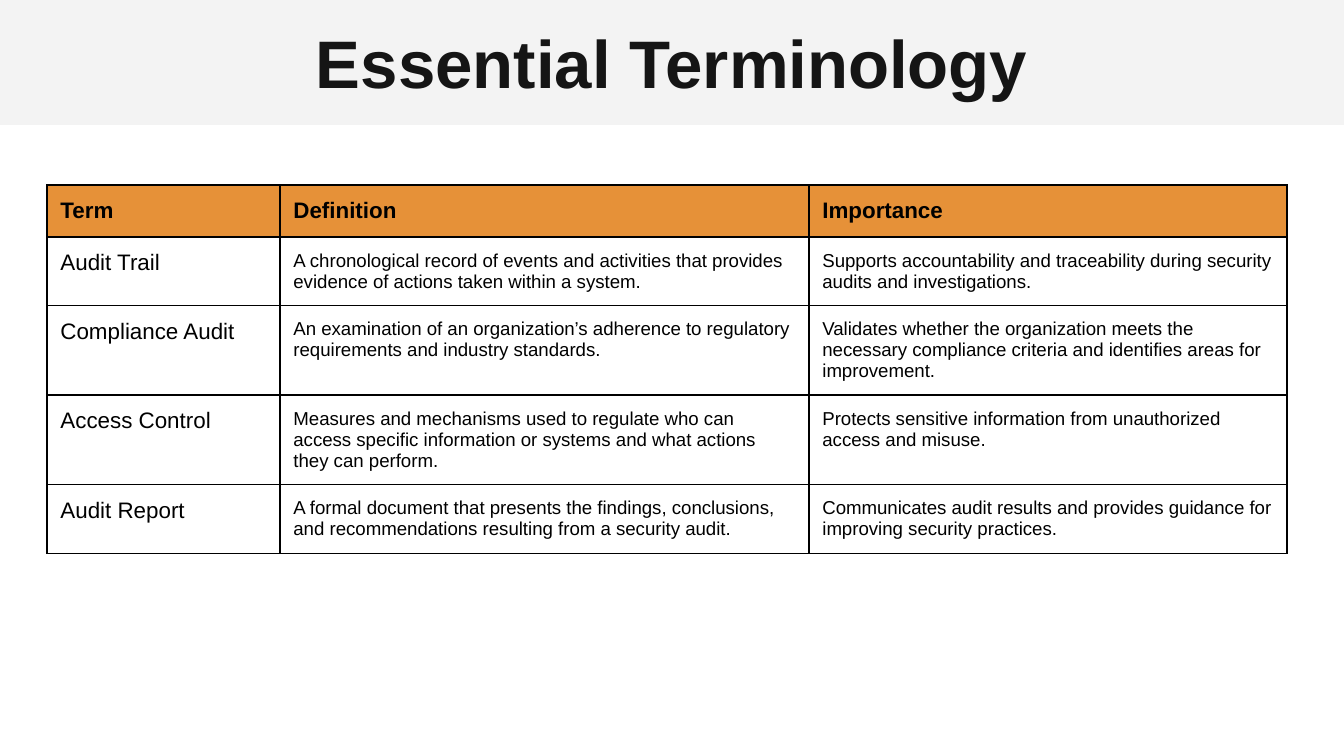
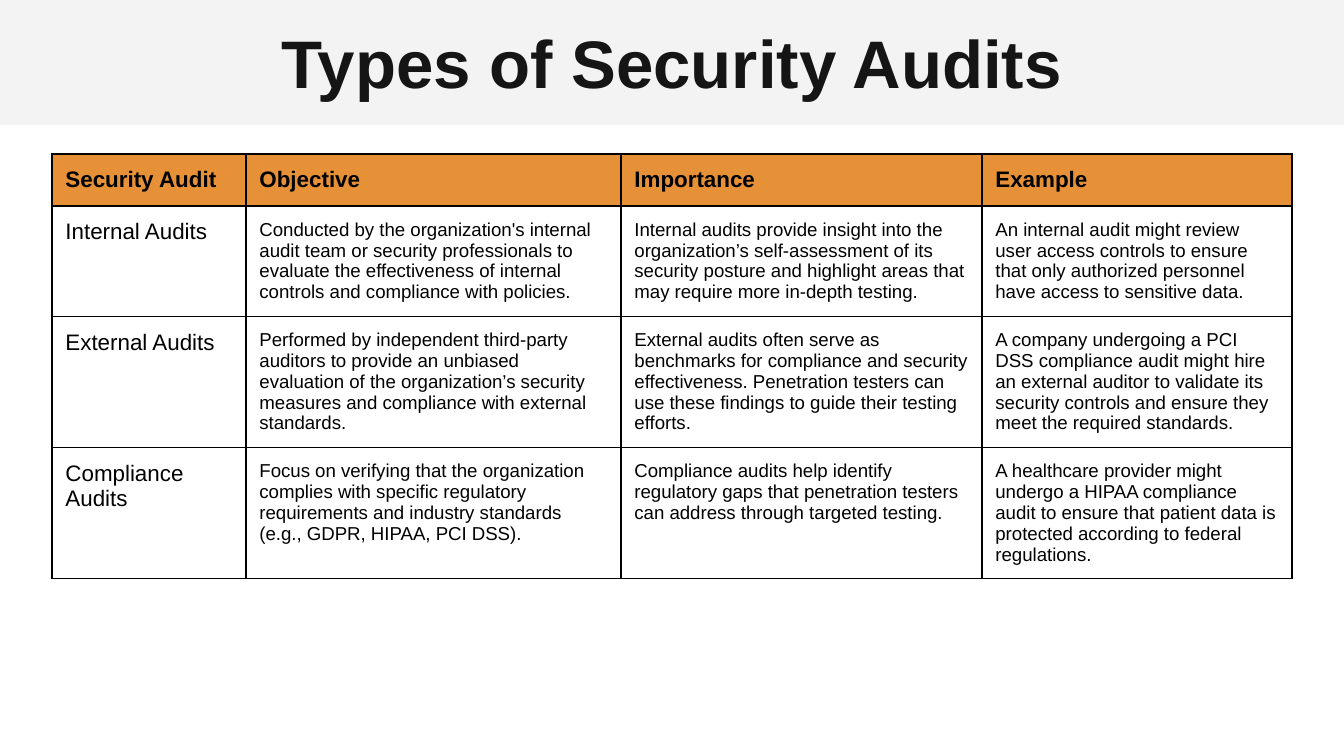
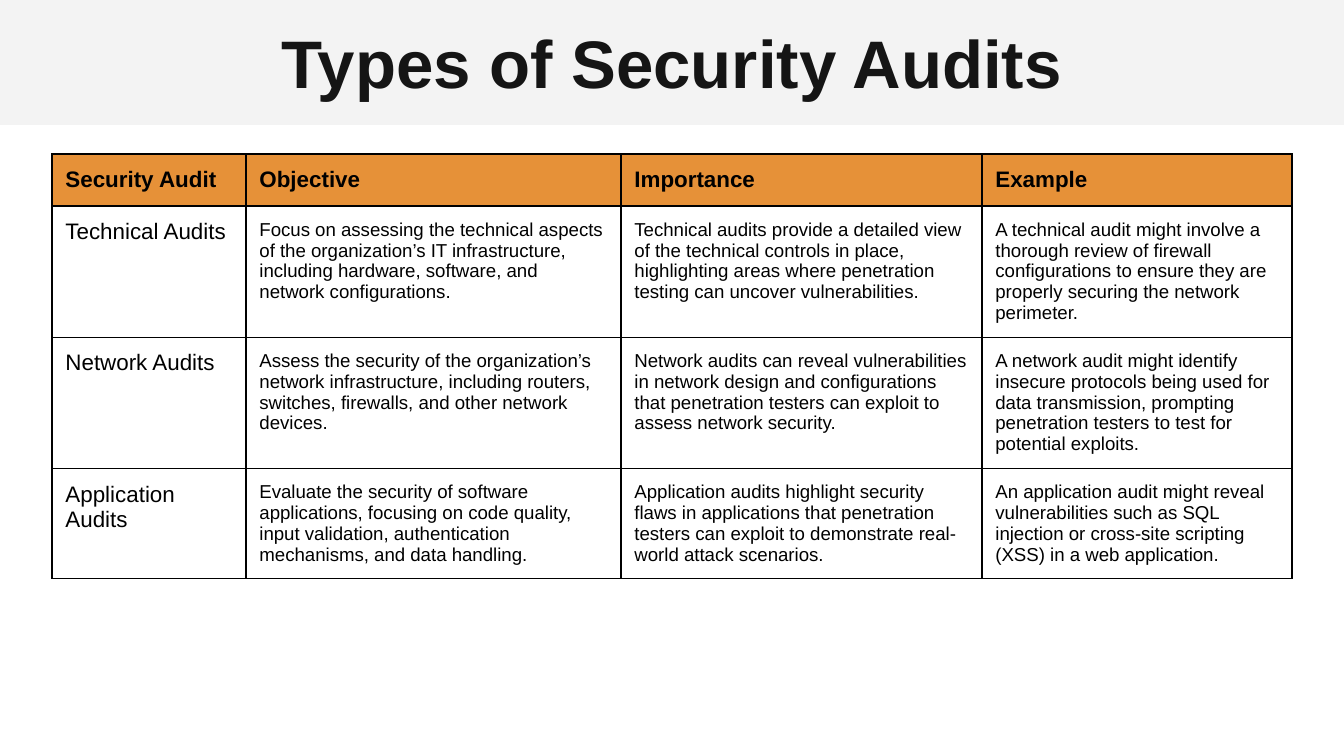
import lxml.etree
import pptx
import pptx.dml.color
import pptx.enum.text
import pptx.oxml.ns
import pptx.util

EMU_PER_PX = 914400 / 134.4
SLIDE_WIDTH, SLIDE_HEIGHT = 1344, 756
TITLE_TOP, TITLE_HEIGHT = -1, 126
HEADER_ROW_HEIGHT, BODY_ROW_HEIGHT = 40, 56
MARGIN = pptx.util.Inches(0.1)
BORDER_WIDTH = pptx.util.Pt(0.75)
FONT = "Arial"
COLORS = {
    "band": "F3F3F3",
    "title": "151515",
    "header": "E69138",
    "text": "000000",
    "border": "000000",
}

TERM_TABLE = {"left": 47, "top": 185, "height": 386, "columns": [233, 529, 478]}
AUDIT_TABLE = {"left": 52, "top": 154, "height": 448, "columns": [194, 375, 361, 310]}
AUDIT_TITLE = "Types of Security Audits"
AUDIT_HEADER = ("Security Audit", "Objective", "Importance", "Example")

SLIDES = [
    ("Essential Terminology", TERM_TABLE, [
        ("Term", "Definition", "Importance"),
        ("Audit Trail",
         "A chronological record of events and activities that provides evidence of actions taken within a system.",
         "Supports accountability and traceability during security audits and investigations."),
        ("Compliance Audit",
         "An examination of an organization’s adherence to regulatory requirements and industry standards.",
         "Validates whether the organization meets the necessary compliance criteria and identifies areas for "
         "improvement."),
        ("Access Control",
         "Measures and mechanisms used to regulate who can access specific information or systems and what "
         "actions they can perform.",
         "Protects sensitive information from unauthorized access and misuse."),
        ("Audit Report",
         "A formal document that presents the findings, conclusions, and recommendations resulting from a "
         "security audit.",
         "Communicates audit results and provides guidance for improving security practices."),
    ]),
    (AUDIT_TITLE, AUDIT_TABLE, [
        AUDIT_HEADER,
        ("Internal Audits",
         "Conducted by the organization's internal audit team or security professionals to evaluate the "
         "effectiveness of internal controls and compliance with policies.",
         "Internal audits provide insight into the organization’s self-assessment of its security posture and "
         "highlight areas that may require more in-depth testing.",
         "An internal audit might review user access controls to ensure that only authorized personnel have "
         "access to sensitive data."),
        ("External Audits",
         "Performed by independent third-party auditors to provide an unbiased evaluation of the "
         "organization’s security measures and compliance with external standards.",
         "External audits often serve as benchmarks for compliance and security effectiveness. Penetration "
         "testers can use these findings to guide their testing efforts.",
         "A company undergoing a PCI DSS compliance audit might hire an external auditor to validate its "
         "security controls and ensure they meet the required standards."),
        ("Compliance Audits",
         "Focus on verifying that the organization complies with specific regulatory requirements and "
         "industry standards (e.g., GDPR, HIPAA, PCI DSS).",
         "Compliance audits help identify regulatory gaps that penetration testers can address through "
         "targeted testing.",
         "A healthcare provider might undergo a HIPAA compliance audit to ensure that patient data is "
         "protected according to federal regulations."),
    ]),
    (AUDIT_TITLE, AUDIT_TABLE, [
        AUDIT_HEADER,
        ("Technical Audits",
         "Focus on assessing the technical aspects of the organization’s IT infrastructure, including "
         "hardware, software, and network configurations.",
         "Technical audits provide a detailed view of the technical controls in place, highlighting areas "
         "where penetration testing can uncover vulnerabilities.",
         "A technical audit might involve a thorough review of firewall configurations to ensure they are "
         "properly securing the network perimeter."),
        ("Network Audits",
         "Assess the security of the organization’s network infrastructure, including routers, switches, "
         "firewalls, and other network devices.",
         "Network audits can reveal vulnerabilities in network design and configurations that penetration "
         "testers can exploit to assess network security.",
         "A network audit might identify insecure protocols being used for data transmission, prompting "
         "penetration testers to test for potential exploits."),
        ("Application Audits",
         "Evaluate the security of software applications, focusing on code quality, input validation, "
         "authentication mechanisms, and data handling.",
         "Application audits highlight security flaws in applications that penetration testers can exploit "
         "to demonstrate real-world attack scenarios.",
         "An application audit might reveal vulnerabilities such as SQL injection or cross-site scripting "
         "(XSS) in a web application."),
    ]),
]


def px(value):
    return pptx.util.Emu(round(value * EMU_PER_PX))


def color(name):
    return pptx.dml.color.RGBColor.from_string(COLORS[name])


def set_fill(target, name):
    target.fill.solid()
    target.fill.fore_color.rgb = color(name)


def set_margins(target):
    for side in ("left", "top", "right", "bottom"):
        setattr(target, f"margin_{side}", MARGIN)


def set_font(paragraph, size, color_name, bold):
    font = paragraph.font
    font.name, font.size, font.bold = FONT, pptx.util.Pt(size), bold
    font.color.rgb = color(color_name)


def add_borders(cell):
    """Line all four sides; the schema wants lines ahead of the fill."""
    properties = cell._tc.get_or_add_tcPr()
    for index, side in enumerate(("lnL", "lnR", "lnT", "lnB")):
        line = lxml.etree.Element(pptx.oxml.ns.qn(f"a:{side}"), w=str(BORDER_WIDTH))
        solid = lxml.etree.SubElement(line, pptx.oxml.ns.qn("a:solidFill"))
        lxml.etree.SubElement(solid, pptx.oxml.ns.qn("a:srgbClr"), val=COLORS["border"])
        properties.insert(index, line)


def format_title(title, text):
    title.left, title.top = px(0), px(TITLE_TOP)
    title.width, title.height = px(SLIDE_WIDTH), px(TITLE_HEIGHT)
    set_fill(title, "band")
    frame = title.text_frame
    frame.text = text
    frame.word_wrap = True
    frame.auto_size = pptx.enum.text.MSO_AUTO_SIZE.NONE
    frame.vertical_anchor = pptx.enum.text.MSO_ANCHOR.MIDDLE
    set_margins(frame)
    paragraph = frame.paragraphs[0]
    paragraph.alignment = pptx.enum.text.PP_ALIGN.CENTER
    set_font(paragraph, 36, "title", True)


def fill_cell(cell, text, is_header, is_label):
    cell.text = text
    set_margins(cell)
    if is_header:
        set_fill(cell, "header")
    else:
        cell.fill.background()
    add_borders(cell)
    size = 12 if is_header or is_label else 10
    set_font(cell.text_frame.paragraphs[0], size, "text", is_header)


def add_audit_table(slide, place, rows):
    """Add a table whose rows start at a minimum height and grow with their text."""
    widths = place["columns"]
    shape = slide.shapes.add_table(
        len(rows), len(widths), px(place["left"]), px(place["top"]),
        px(sum(widths)), px(place["height"]))
    table = shape.table
    table.first_row = table.horz_banding = False
    for column, width in zip(table.columns, widths):
        column.width = px(width)
    for row_index, texts in enumerate(rows):
        is_header = row_index == 0
        table.rows[row_index].height = px(HEADER_ROW_HEIGHT if is_header else BODY_ROW_HEIGHT)
        for column_index, text in enumerate(texts):
            fill_cell(table.cell(row_index, column_index), text, is_header, column_index == 0)
    shape.height = px(place["height"])


def main():
    presentation = pptx.Presentation()
    presentation.slide_width = px(SLIDE_WIDTH)
    presentation.slide_height = px(SLIDE_HEIGHT)
    title_only = presentation.slide_layouts.get_by_name("Title Only")
    for title, place, rows in SLIDES:
        slide = presentation.slides.add_slide(title_only)
        format_title(slide.shapes.title, title)
        add_audit_table(slide, place, rows)
    presentation.save("out.pptx")


if __name__ == "__main__":
    main()
